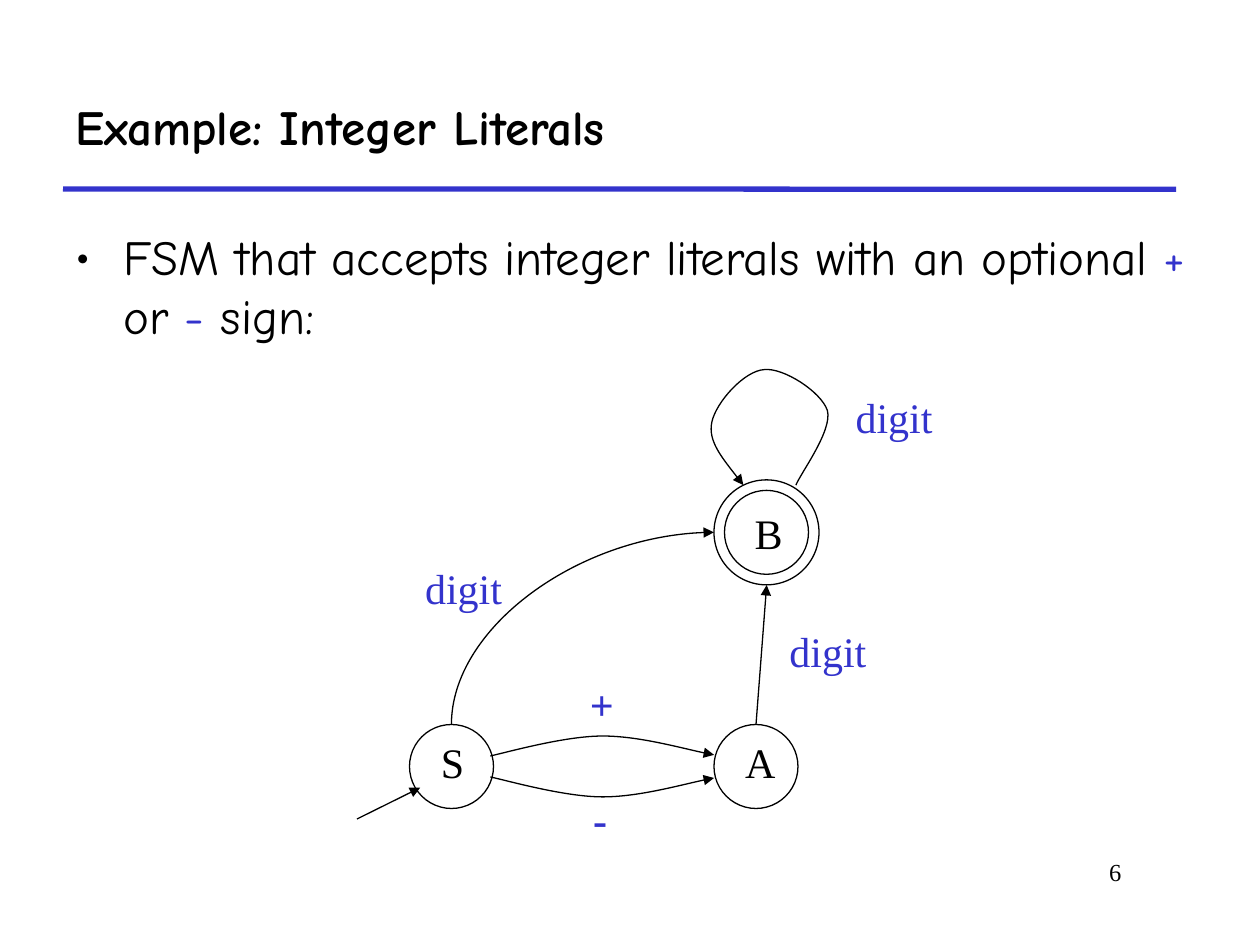
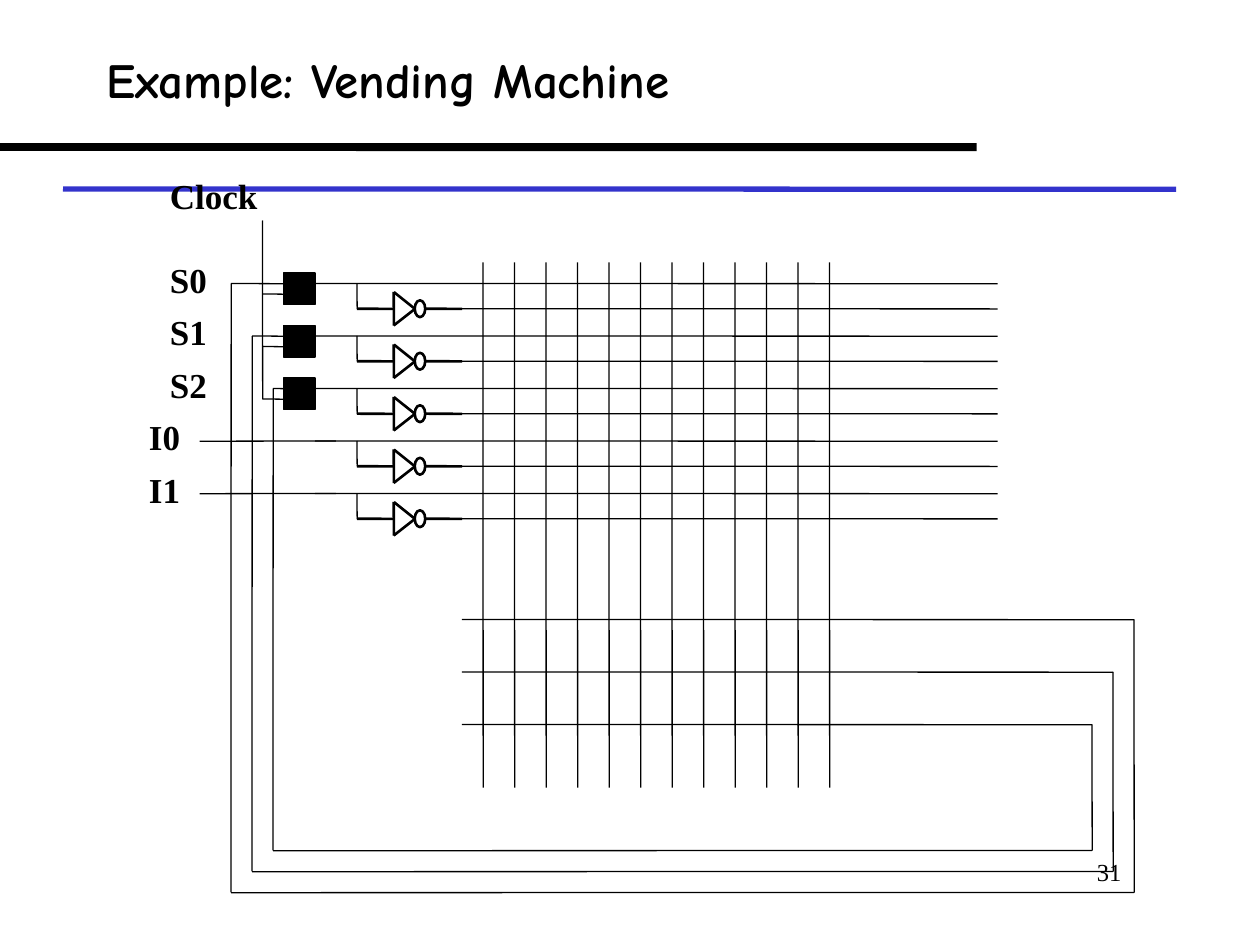
"""Build two lecture slides: a state machine and a vending machine circuit."""
import lxml.etree
import pptx
import pptx.dml.color
import pptx.enum.shapes
import pptx.enum.text
import pptx.oxml.ns
import pptx.util

BLACK = pptx.dml.color.RGBColor(0x00, 0x00, 0x00)
BLUE = pptx.dml.color.RGBColor(0x33, 0x33, 0xCC)
SANS = "Comic Neue"
SERIF = "Times New Roman"
COLUMNS, ROWS = 120, 90
CELL = pptx.util.Inches(10) / COLUMNS
THIN, MEDIUM, RULE, THICK = 0.75, 1.5, 3, 4.5
SLANT = 0.02
SHAPES = pptx.enum.shapes.MSO_SHAPE
CONNECTORS = pptx.enum.shapes.MSO_CONNECTOR
ALIGN = pptx.enum.text.PP_ALIGN
ANCHOR = pptx.enum.text.MSO_ANCHOR
FIT = pptx.enum.text.MSO_AUTO_SIZE
qn = pptx.oxml.ns.qn


def cells(*counts):
    return [pptx.util.Emu(round(count * CELL)) for count in counts]


class Board:
    def __init__(self):
        self.deck = pptx.Presentation()
        self.deck.slide_width, self.deck.slide_height = cells(COLUMNS, ROWS)
        self.page = None

    def new_page(self, title, number, title_area):
        self.page = self.deck.slides.add_slide(self.deck.slide_layouts[6])
        self.wire((6, 18), (112, 18), weight=RULE, color=BLUE)
        self.text(number, (83, 81, 25, 6), 14, align=ALIGN.RIGHT)
        self.text(title, title_area, 28, font=SANS, bold=True, anchor=ANCHOR.MIDDLE)

    def text(self, content, area, size, color=BLACK, font=SERIF, bold=False,
             align=ALIGN.LEFT, anchor=ANCHOR.TOP, wrap=True):
        """Place text given as a string or as (string, colour) spans."""
        box = self.page.shapes.add_textbox(*cells(*area))
        frame = box.text_frame
        frame.word_wrap = wrap
        frame.auto_size = FIT.NONE if wrap else FIT.SHAPE_TO_FIT_TEXT
        frame.vertical_anchor = anchor
        para = frame.paragraphs[0]
        para.alignment = align
        spans = [(content, color)] if isinstance(content, str) else content
        for words, span_color in spans:
            span = para.add_run()
            span.text = words
            span.font.name = font
            span.font.size = pptx.util.Pt(size)
            span.font.bold = bold
            span.font.color.rgb = span_color
        return para

    def label(self, words, left, top, width, size=24, color=BLACK, bold=False):
        area = (left, top, width, size / 4)
        self.text(words, area, size, color, bold=bold, wrap=False)

    def bullet(self, spans, area):
        para = self.text(spans, area, 28, font=SANS)
        properties = para._p.get_or_add_pPr()
        indent = pptx.util.Inches(0.38)
        properties.set("marL", str(indent))
        properties.set("indent", str(-indent))
        tint = lxml.etree.SubElement(properties, qn("a:buClr"))
        lxml.etree.SubElement(tint, qn("a:srgbClr")).set("val", str(BLACK))
        lxml.etree.SubElement(properties, qn("a:buFont")).set("typeface", SANS)
        lxml.etree.SubElement(properties, qn("a:buChar")).set("char", "•")

    def stroke(self, item, weight=THIN, color=BLACK, arrow=False):
        item.line.color.rgb = color
        item.line.width = pptx.util.Pt(weight)
        if arrow:
            line = item.element.spPr.find(qn("a:ln"))
            lxml.etree.SubElement(line, qn("a:tailEnd")).set("type", "triangle")

    def connector(self, kind, start, end, **style):
        line = self.page.shapes.add_connector(kind, *cells(*start, *end))
        self.stroke(line, **style)
        lxml.etree.SubElement(line.element.spPr, qn("a:effectLst"))
        return line

    def wire(self, *points, **style):
        """Join points by lines, slanted a hair so that all draw equally heavy."""
        for start, (end_x, end_y) in zip(points, points[1:]):
            end = (end_x + SLANT, end_y + SLANT)
            self.connector(CONNECTORS.STRAIGHT, start, end, **style)

    def bend(self, start, end):
        """Draw a quarter curve that leaves upwards and arrives rightwards."""
        middle_x, middle_y = (start[0] + end[0]) / 2, (start[1] + end[1]) / 2
        turned = [(middle_x + y - middle_y, middle_y - x + middle_x)
                  for x, y in (start, end)]
        line = self.connector(CONNECTORS.CURVE, *turned, arrow=True)
        properties = line.element.spPr
        properties.find(qn("a:xfrm")).set("rot", str(90 * 60000))
        properties.find(qn("a:prstGeom")).set("prst", "curvedConnector2")

    def curve(self, *points):
        """Draw an arrow through a start point and triples of Bezier points."""
        start, *rest = [cells(*point) for point in points]
        builder = self.page.shapes.build_freeform(*start)
        builder.add_line_segments(rest, close=False)
        shape = builder.convert_to_shape()
        shape.shadow.inherit = False
        shape.fill.background()
        self.stroke(shape, arrow=True)
        outline = next(shape.element.iter(qn("a:path")))
        segments = outline.findall(qn("a:lnTo"))
        for first in range(0, len(segments), 3):
            bezier = lxml.etree.SubElement(outline, qn("a:cubicBezTo"))
            for segment in segments[first:first + 3]:
                bezier.append(segment[0])
                outline.remove(segment)

    def shape(self, kind, area, fill=None, weight=THIN):
        shape = self.page.shapes.add_shape(kind, *cells(*area))
        shape.shadow.inherit = False
        if fill is None:
            shape.fill.background()
        else:
            shape.fill.solid()
            shape.fill.fore_color.rgb = fill
        self.stroke(shape, weight)

    def state(self, center_x, center_y, radius=4):
        area = (center_x - radius, center_y - radius, 2 * radius, 2 * radius)
        self.shape(SHAPES.OVAL, area)

    def inverter(self, top):
        """Draw a signal line with its inverted copy below."""
        middle = top + 2.4
        self.wire((30, top), (95, top))
        self.wire((34, top), (34, middle))
        tip = (39.5, middle)
        self.wire(tip, (37.5, middle - 1.6), (37.5, middle + 1.6), tip, weight=MEDIUM)
        self.shape(SHAPES.OVAL, (39.5, middle - 0.8, 1, 1.6), weight=MEDIUM)
        for start, end in ((34, 37.5), (40.5, 44)):
            self.wire((start, middle), (end, middle), weight=MEDIUM)
        self.wire((43, middle), (95, middle))


def draw_integer_literals(board):
    board.new_page("Example: Integer Literals", "6", (6, 6, 106, 12))
    board.bullet([("FSM that accepts integer literals with an optional ", BLACK),
                  ("+", BLUE), (" or ", BLACK), ("-", BLUE), (" sign:", BLACK)],
                 (6, 21, 109, 60))

    for center_x, center_y, radius in ((43, 73, 4), (72, 73, 4), (73, 50.7, 4), (73, 50.7, 5)):
        board.state(center_x, center_y, radius)
    for name, left, top, width in (("S", 40.8, 69.6, 4.6), ("A", 69.8, 69.6, 5.3),
                                   ("B", 70.7, 47.7, 5)):
        board.label(name, left, top, width)

    plus_arc = [(46.7, 72), (48.5, 71.6), (53.8, 70.1), (57.4, 70.1),
                (60.8, 70.1), (65.8, 71.5), (68, 71.9)]
    board.curve(*plus_arc)
    board.curve(*[(x, 2 * 73 - y) for x, y in plus_arc])
    board.curve((75.8, 46.2), (76.3, 45), (79.3, 41), (78.8, 39.1),
                (78.2, 37.3), (74.6, 35), (72.8, 35.2),
                (70.9, 35.3), (68.2, 38.3), (67.8, 40.2),
                (67.4, 42), (69.1, 44), (70.8, 46.2))
    board.bend((43, 69), (68, 50.7))
    board.wire((34, 78), (40, 75), arrow=True)
    board.wire((72, 69), (73, 55.7), arrow=True)

    for left, top in ((80.3, 36.7), (39.3, 53), (74, 59)):
        board.label("digit", left, top, 9.7, color=BLUE)
    board.label("+", 55, 64, 4.7, color=BLUE, bold=True)
    board.label("-", 55.3, 75, 3.7, color=BLUE, bold=True)


def draw_vending_machine(board):
    board.new_page("Example: Vending Machine", "31", (9, 0, 102, 15))
    board.wire((0, 14), (93, 14), weight=THICK)
    for column in range(12):
        x = 46 + 3 * column
        board.wire((x, 25), (x, 75))

    signal_tops = [27 + 5 * row for row in range(5)]
    for top in signal_tops:
        board.inverter(top)

    board.label("Clock", 15, 16, 10.8, size=20, bold=True)
    board.wire((25, 21), (25, 38))
    for bit, top in enumerate(signal_tops[:3]):
        board.label(f"S{bit}", 15, top - 3, 5.9, size=20, bold=True)
        board.shape(SHAPES.RECTANGLE, (27, top - 1, 3, 3), fill=BLACK)
        board.wire((25, top + 1), (27, top + 1))
        left, right, bottom = 22 + 2 * bit, 108 - 2 * bit, 85 - 2 * bit
        output = top + 32
        board.wire((44, output), (right, output), (right, bottom),
                   (left, bottom), (left, top), (27, top))
    for bit, top in enumerate(signal_tops[3:]):
        board.label(f"I{bit}", 13, top - 3, 5.4, size=20, bold=True)
        board.wire((32, top), (19, top))


def main():
    board = Board()
    draw_integer_literals(board)
    draw_vending_machine(board)
    board.deck.save("out.pptx")


if __name__ == "__main__":
    main()
